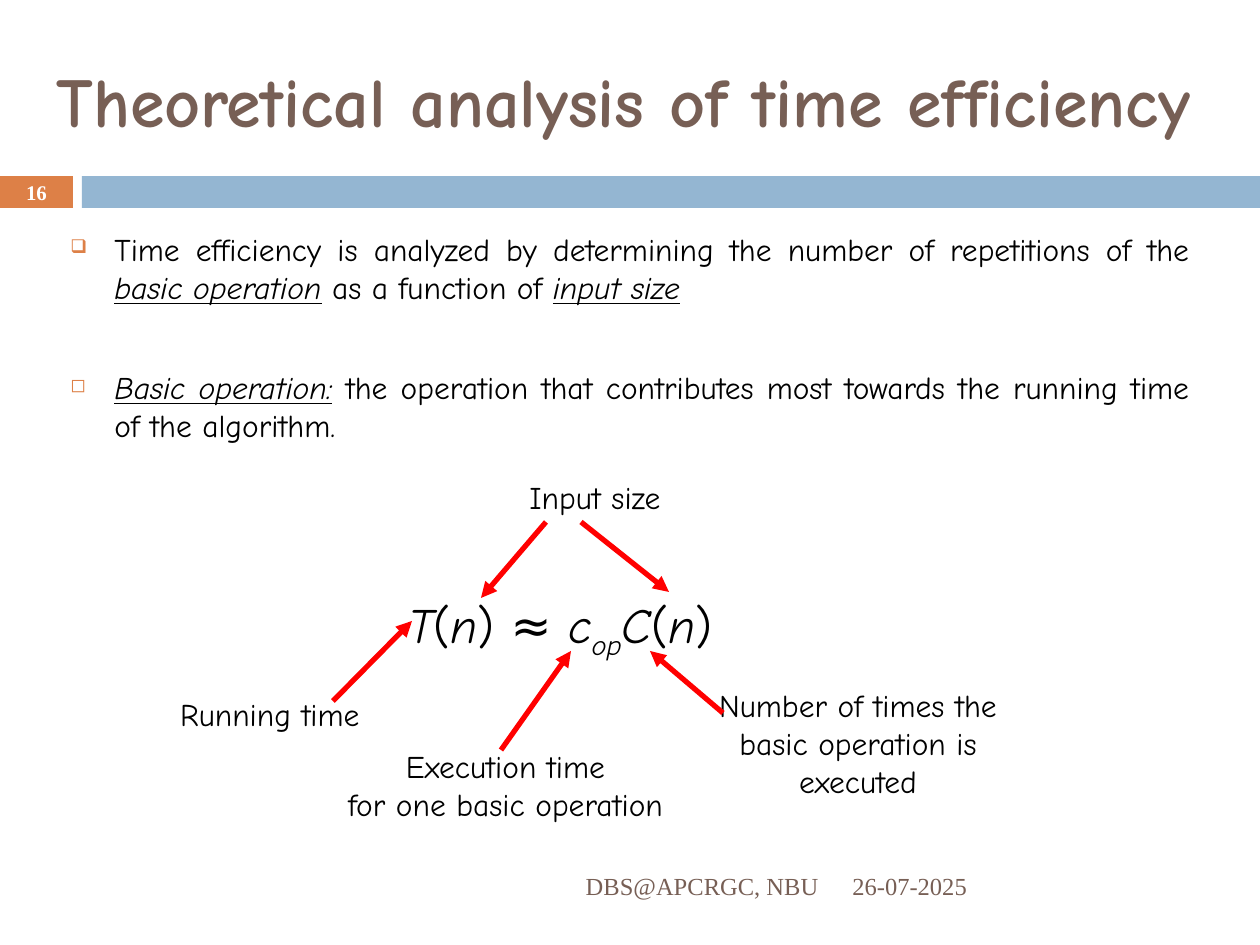
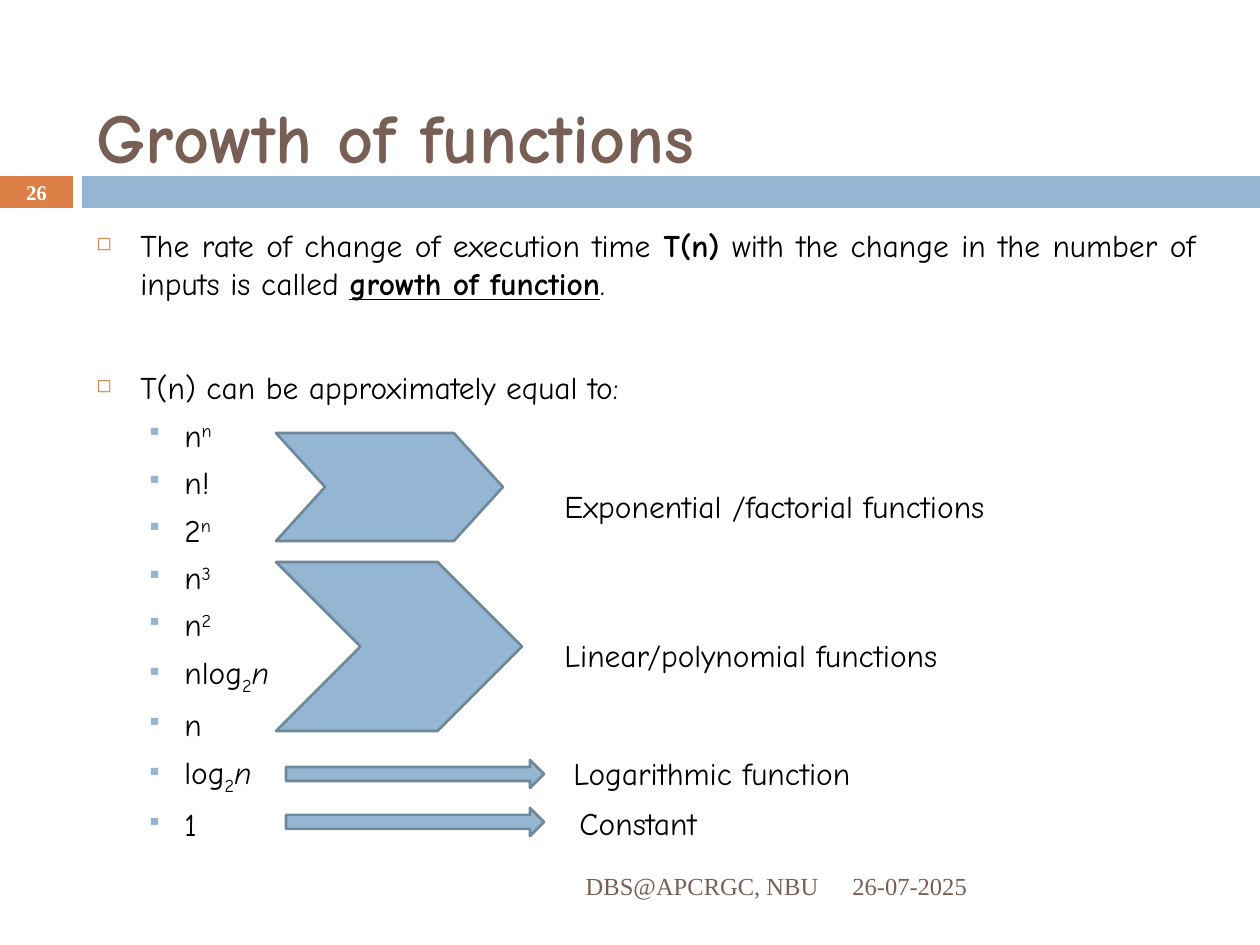
from lxml import etree
from pptx import Presentation
from pptx.dml.color import RGBColor
from pptx.enum.shapes import MSO_CONNECTOR, MSO_SHAPE
from pptx.enum.text import MSO_ANCHOR, MSO_AUTO_SIZE, PP_ALIGN
from pptx.oxml.ns import qn
from pptx.util import Emu, Pt

LEFT, CENTER, RIGHT, JUSTIFY = PP_ALIGN.LEFT, PP_ALIGN.CENTER, PP_ALIGN.RIGHT, PP_ALIGN.JUSTIFY
TOP, MIDDLE = MSO_ANCHOR.TOP, MSO_ANCHOR.MIDDLE
NO_AUTOFIT = MSO_AUTO_SIZE.NONE
RECTANGLE, CHEVRON, RIGHT_ARROW = MSO_SHAPE.RECTANGLE, MSO_SHAPE.CHEVRON, MSO_SHAPE.RIGHT_ARROW
STRAIGHT = MSO_CONNECTOR.STRAIGHT

ORANGE = RGBColor(0xDD, 0x80, 0x47)
BLUE = RGBColor(0x94, 0xB6, 0xD2)
BLUE_EDGE = RGBColor(0x6D, 0x87, 0x9B)
BROWN = RGBColor(0x77, 0x5F, 0x55)
RED = RGBColor(0xFF, 0, 0)
BLACK = RGBColor(0, 0, 0)
WHITE = RGBColor(0xFF, 0xFF, 0xFF)

TITLE = {"name": "Comic Neue", "size": Pt(40), "bold": True, "color": BROWN}
BODY = {"name": "Comic Neue", "size": Pt(18), "color": BLACK}
EQUATION = {**BODY, "size": Pt(28)}
FOOTER = {"name": "Times New Roman", "size": Pt(14), "color": BROWN}
NUMBER = {"name": "Times New Roman", "size": Pt(11.9), "bold": True, "color": WHITE}

ITALIC = {"italic": True}
BOLD = {"bold": True}
TERM = {"italic": True, "underline": True}
KEY_TERM = {"bold": True, "underline": True}
SUP = {"baseline": 30000}
SUB = {"baseline": -25000}

SLIDE_W, SLIDE_H = 1260, 945
FOOTER_Y, FOOTER_H = 861, 50
SECTION_BULLET = {"char": "◻", "color": ORANGE, "percent": 60, "left": 44, "hang": 44, "before": 7}
CHECK_BULLET = {**SECTION_BULLET, "char": "❑"}
ITEM_BULLET = {"char": "▪", "color": BLUE, "percent": 70, "left": 88, "hang": 38, "before": 5.5}


def px(length):
    return Emu(round(length * 914400 / 126))


def place(box, dx, dy, width, height):
    return [px(n) for n in (box[0] + dx, box[1] + dy, width, height)]


def apply_format(target, values):
    for key, value in values.items():
        setattr(target, key, value)


def write(paragraph, spans, style, align=LEFT):
    paragraph.alignment = align
    for text, extra in spans:
        run = paragraph.add_run()
        run.text = text
        values = {**style, **extra}
        run.font.color.rgb = values.pop("color")
        baseline = values.pop("baseline", None)
        apply_format(run.font, values)
        if baseline:
            run._r.get_or_add_rPr().set("baseline", str(baseline))


def set_bullet(paragraph, bullet, gap):
    paragraph.space_before = Pt(bullet["before"] + gap)
    props = paragraph._p.get_or_add_pPr()
    props.set("marL", str(px(bullet["left"])))
    props.set("indent", str(-px(bullet["hang"])))
    colour = etree.SubElement(props, qn("a:buClr"))
    etree.SubElement(colour, qn("a:srgbClr"), val=str(bullet["color"]))
    etree.SubElement(props, qn("a:buSzPct"), val=str(bullet["percent"] * 1000))
    etree.SubElement(props, qn("a:buChar"), char=bullet["char"])


def add_frame(slide, position, anchor=TOP):
    frame = slide.shapes.add_textbox(*position).text_frame
    apply_format(frame, {"word_wrap": True, "auto_size": NO_AUTOFIT, "vertical_anchor": anchor})
    return frame


def add_label(slide, position, lines, style=BODY, align=LEFT, anchor=TOP):
    frame = add_frame(slide, position, anchor)
    for index, spans in enumerate(lines):
        paragraph = frame.add_paragraph() if index else frame.paragraphs[0]
        write(paragraph, spans, style, align)


def add_preset(slide, position, kind, fill, edge=None, adjustment=None):
    preset = slide.shapes.add_shape(kind, *position)
    preset.shadow.inherit = False
    preset.fill.solid()
    preset.fill.fore_color.rgb = fill
    if edge:
        preset.line.color.rgb = edge
        preset.line.width = Pt(1.5)
    else:
        preset.line.fill.background()
    if adjustment:
        preset.adjustments[0] = adjustment


def add_arrow(slide, box, start, end):
    points = [px(box[i % 2] + n) for i, n in enumerate((*start, *end))]
    arrow = slide.shapes.add_connector(STRAIGHT, *points)
    arrow.line.color.rgb = RED
    arrow.line.width = Pt(3)
    props = arrow.element.spPr
    etree.SubElement(props.find(qn("a:ln")), qn("a:tailEnd"), type="triangle")
    etree.SubElement(props, qn("a:effectLst"))


def draw_band(slide, box, number):
    add_preset(slide, place(box, 0, 0, 73, 32), RECTANGLE, ORANGE)
    add_preset(slide, place(box, 82, 0, box[2] - 82, 32), RECTANGLE, BLUE)
    add_label(slide, place(box, 0, -1, 73, 34), [[(number, {})]], NUMBER, CENTER, MIDDLE)


def draw_footer(slide, box):
    add_label(slide, place(box, 0, 0, 747, box[3]), [[("DBS@APCRGC, NBU", {})]],
              FOOTER, RIGHT, MIDDLE)
    add_label(slide, place(box, 756, 0, 368, box[3]), [[("26-07-2025", {})]],
              FOOTER, LEFT, MIDDLE)


def draw_title(slide, box, text, top_inset):
    title = slide.shapes.title
    left, top, width, height = place(box, 0, 0, *box[2:])
    apply_format(title, {"left": left, "top": top, "width": width, "height": height})
    apply_format(title.text_frame, {"word_wrap": True, "auto_size": NO_AUTOFIT,
                                    "vertical_anchor": MIDDLE, "margin_top": px(top_inset)})
    write(title.text_frame.paragraphs[0], [(text, {})], TITLE)


def start_slide(deck, number, title, title_box, top_inset=6):
    slide = deck.slides.add_slide(deck.slide_layouts[5])
    draw_band(slide, (0, 176, SLIDE_W, 32), number)
    draw_title(slide, title_box, title, top_inset)
    draw_footer(slide, (84, FOOTER_Y, 1124, FOOTER_H))
    return slide


def draw_body(slide, box, points):
    frame = add_frame(slide, place(box, 0, 0, *box[2:]))
    for index, (bullet, gap, spans) in enumerate(points):
        paragraph = frame.add_paragraph() if index else frame.paragraphs[0]
        write(paragraph, spans, BODY, JUSTIFY)
        set_bullet(paragraph, bullet, gap)


def draw_formula(slide, box):
    captions = [
        ((0, 217, 213, 50), RIGHT, ["Running time"]),
        ((162, 269, 369, 89), CENTER, ["Execution time", "for one basic operation"]),
        ((540, 208, 318, 127), CENTER, ["Number of times the basic operation is executed"]),
        ((348, 0, 176, 50), CENTER, ["Input size"]),
    ]
    for spot, align, lines in captions:
        add_label(slide, place(box, *spot), [[(line, {})] for line in lines], align=align)
    pointers = [
        ((174, 229), (253, 149)),
        ((342, 278), (412, 179)),
        ((564, 241), (491, 179)),
        ((422, 50), (510, 120)),
        ((387, 50), (322, 126)),
    ]
    for start, end in pointers:
        add_arrow(slide, box, start, end)
    equation = [("T", ITALIC), ("(", {}), ("n", ITALIC), (") ≈ ", {}), ("c", ITALIC),
                ("op", {**ITALIC, **SUB}), ("C", ITALIC), ("(", {}), ("n", ITALIC), (")", {})]
    add_label(slide, place(box, 203, 116, 397, 72), [equation], EQUATION, CENTER)


def draw_growth_classes(slide, box):
    classes = [
        (CHEVRON, (0, 0, 227, 108), 0.455, (276, 48, 501), "Exponential /factorial functions"),
        (CHEVRON, (0, 129, 246, 169), None, (276, 197, 635), "Linear/polynomial functions"),
        (RIGHT_ARROW, (10, 327, 258, 28), None, (285, 315, 446), "Logarithmic function"),
        (RIGHT_ARROW, (10, 375, 258, 28), None, (291, 365, 446), "Constant"),
    ]
    for kind, spot, adjustment, caption_spot, caption in classes:
        add_preset(slide, place(box, *spot), kind, BLUE, BLUE_EDGE, adjustment)
        add_label(slide, place(box, *caption_spot, 59), [[(caption, {})]])


def build_efficiency_slide(deck):
    slide = start_slide(deck, "16", "Theoretical analysis of time efficiency", (44, 32, 1181, 136))
    draw_body(slide, (58, 224, 1144, 248), [
        (CHECK_BULLET, 0, [
            ("Time efficiency is analyzed by determining the number of repetitions of the ", {}),
            ("basic operation", TERM), (" as a function of ", {}), ("input size", TERM)]),
        (SECTION_BULLET, 28.5, [
            ("Basic operation:", TERM),
            (" the operation that contributes most towards the running time of the algorithm.", {})]),
    ])
    draw_formula(slide, (159, 472, 858, 358))


def build_growth_slide(deck):
    slide = start_slide(deck, "26", "Growth of functions", (84, 32, 1124, 123), 90)
    orders = [
        [("n", {}), ("n", SUP)],
        [("n!", {})],
        [("2", {}), ("n", SUP)],
        [("n", {}), ("3", SUP)],
        [("n", {}), ("2", SUP)],
        [("nlog", {}), ("2", SUB), ("n", ITALIC)],
        [("n", {})],
        [("log", {}), ("2", SUB), ("n", ITALIC)],
        [("1", {})],
    ]
    draw_body(slide, (84, 220, 1124, 93), [
        (SECTION_BULLET, 0, [
            ("The rate of change of execution time ", {}), ("T(n)", BOLD),
            (" with the change in the number of inputs is called ", {}),
            ("growth of function", KEY_TERM), (".", {})]),
        (SECTION_BULLET, 31, [("T(n) can be approximately equal to:", {})]),
        *[(ITEM_BULLET, 0, order) for order in orders],
    ])
    draw_growth_classes(slide, (276, 433, 911, 424))


def main():
    deck = Presentation()
    deck.slide_width, deck.slide_height = px(SLIDE_W), px(SLIDE_H)
    build_efficiency_slide(deck)
    build_growth_slide(deck)
    deck.save("out.pptx")


if __name__ == "__main__":
    main()
